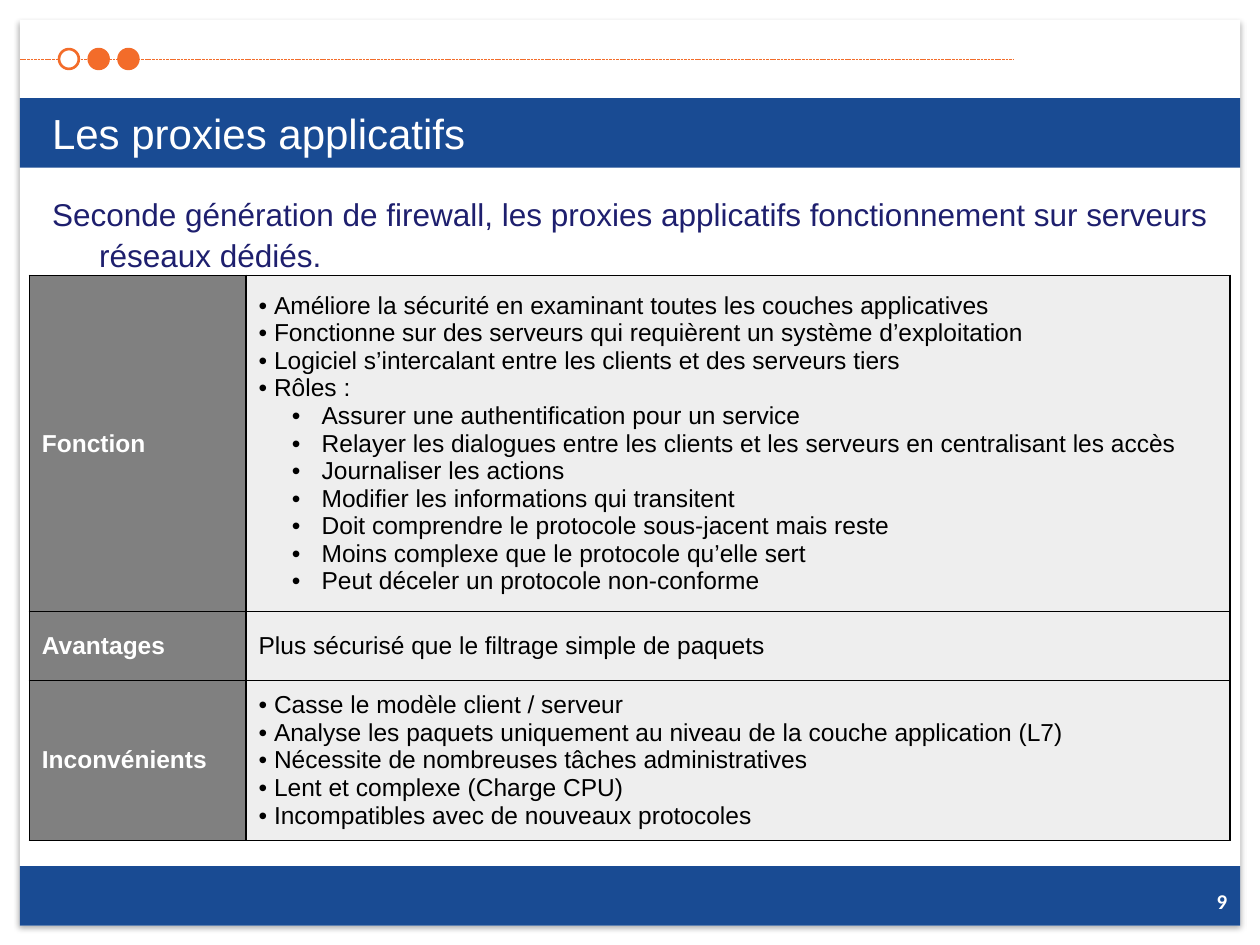
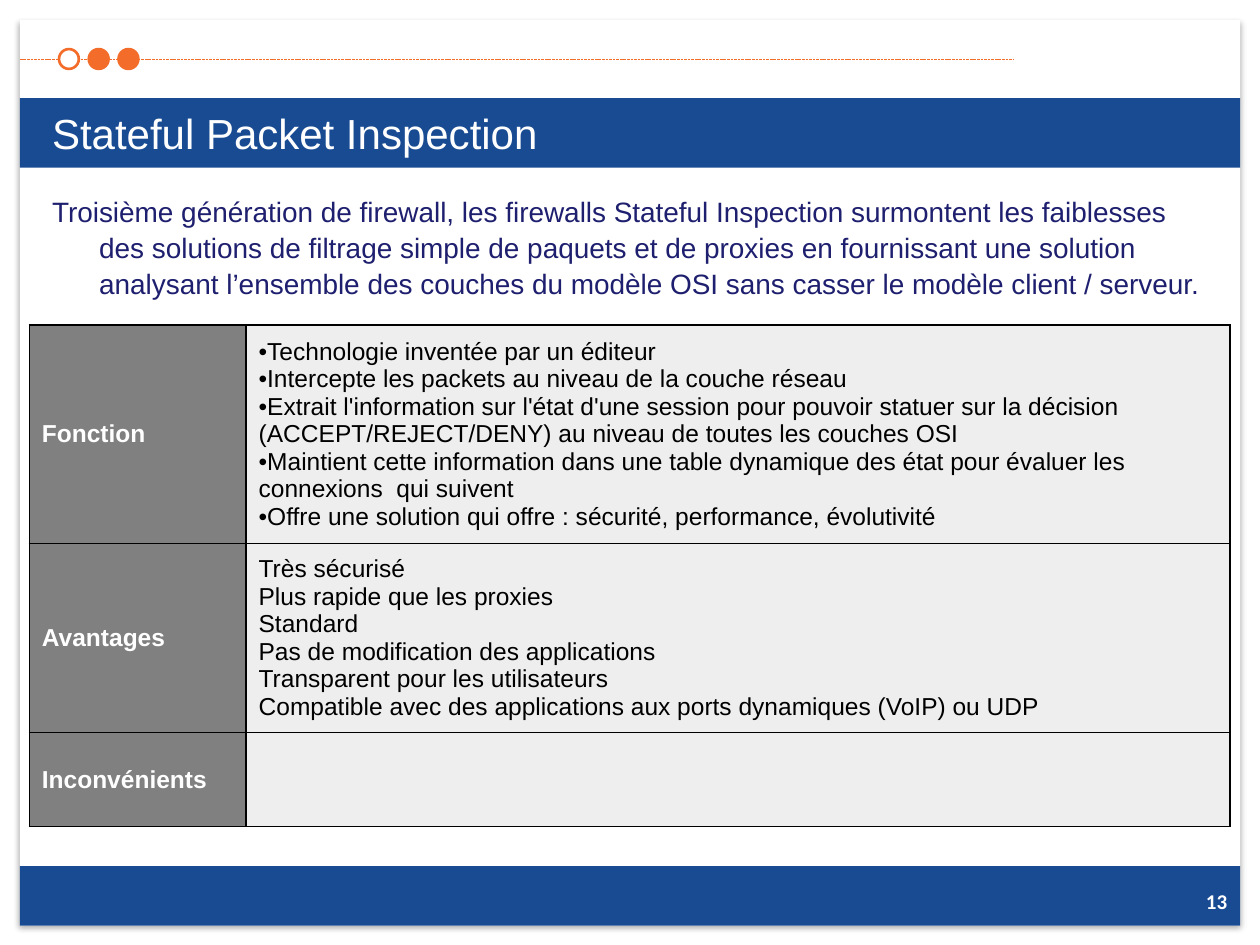
from lxml import etree
from pptx import Presentation
from pptx.dml.color import RGBColor
from pptx.enum.dml import MSO_LINE
from pptx.enum.shapes import MSO_CONNECTOR, MSO_SHAPE
from pptx.enum.text import MSO_ANCHOR, PP_ALIGN
from pptx.oxml import parse_xml
from pptx.oxml.ns import nsdecls, qn
from pptx.util import Cm, Pt

RECTANGLE, OVAL = MSO_SHAPE.RECTANGLE, MSO_SHAPE.OVAL
STRAIGHT, DASH = MSO_CONNECTOR.STRAIGHT, MSO_LINE.SQUARE_DOT
TOP, MIDDLE = MSO_ANCHOR.TOP, MSO_ANCHOR.MIDDLE
LEFT, RIGHT = PP_ALIGN.LEFT, PP_ALIGN.RIGHT
color = RGBColor.from_string

BLUE, NAVY, ORANGE = "194B93", "1E1F6E", "F36C2A"
WHITE, BLACK, GREY, PALE = "FFFFFF", "000000", "808080", "EEEEEE"

FRAME_LEFT, FRAME_WIDTH = 0.4, 24.6
TEXT_LEFT, TEXT_WIDTH = 0.8, 23.82
TITLE_TOP, TITLE_HEIGHT = 1.98, 1.4
DOT_SIZE, DOT_STEP, RULE_TOP = 0.4, 0.6, 1.19
COLUMN_WIDTHS = (4.37, 19.84)

# Paragraph styles in the table: left margin and first-line indent in cm
PLAIN = None
TIGHT = (0, 0)
BULLET = (0.31, -0.31)
SUB_BULLET = (1.27, -0.6)

SLIDES = [
    {
        "title": "Les proxies applicatifs",
        "number": "9",
        "intro": "Seconde génération de firewall, les proxies applicatifs "
                 "fonctionnement sur serveurs réseaux dédiés.",
        "intro_size": 18,
        "table_top": 5.55,
        "rows": [
            ("Fonction", 6.78, [
                (BULLET, "Améliore la sécurité en examinant toutes les couches applicatives"),
                (BULLET, "Fonctionne sur des serveurs qui requièrent un système d’exploitation"),
                (BULLET, "Logiciel s’intercalant entre les clients et des serveurs tiers"),
                (BULLET, "Rôles :"),
                (SUB_BULLET, "Assurer une authentification pour un service"),
                (SUB_BULLET, "Relayer les dialogues entre les clients et les serveurs "
                             "en centralisant les accès"),
                (SUB_BULLET, "Journaliser les actions"),
                (SUB_BULLET, "Modifier les informations qui transitent"),
                (SUB_BULLET, "Doit comprendre le protocole sous-jacent mais reste"),
                (SUB_BULLET, "Moins complexe que le protocole qu’elle sert"),
                (SUB_BULLET, "Peut déceler un protocole non-conforme"),
            ]),
            ("Avantages", 1.39, [
                (PLAIN, "Plus sécurisé que le filtrage simple de paquets"),
            ]),
            ("Inconvénients", 3.21, [
                (BULLET, "Casse le modèle client / serveur"),
                (BULLET, "Analyse les paquets uniquement au niveau de la couche application (L7)"),
                (BULLET, "Nécessite de nombreuses tâches administratives"),
                (BULLET, "Lent et complexe (Charge CPU)"),
                (BULLET, "Incompatibles avec de nouveaux protocoles"),
            ]),
        ],
    },
    {
        "title": "Stateful Packet Inspection",
        "number": "13",
        "intro": "Troisième génération de firewall, les firewalls Stateful Inspection "
                 "surmontent les faiblesses des solutions de filtrage simple de paquets "
                 "et de proxies en fournissant une solution analysant l’ensemble des "
                 "couches du modèle OSI sans casser le modèle client / serveur.",
        "intro_size": 16,
        "table_top": 6.55,
        "rows": [
            ("Fonction", 4.39, [
                (TIGHT, "Technologie inventée par un éditeur"),
                (TIGHT, "Intercepte les packets au niveau de la couche réseau"),
                (TIGHT, "Extrait l'information sur l'état d'une session pour pouvoir statuer "
                        "sur la décision (ACCEPT/REJECT/DENY) au niveau de toutes les couches OSI"),
                (TIGHT, "Maintient cette information dans une table dynamique des état pour "
                        "évaluer les connexions  qui suivent"),
                (TIGHT, "Offre une solution qui offre : sécurité, performance, évolutivité"),
            ]),
            ("Avantages", 3.81, [
                (PLAIN, "Très sécurisé"),
                (PLAIN, "Plus rapide que les proxies"),
                (PLAIN, "Standard"),
                (PLAIN, "Pas de modification des applications"),
                (PLAIN, "Transparent pour les utilisateurs"),
                (PLAIN, "Compatible avec des applications aux ports dynamiques (VoIP) ou UDP"),
            ]),
            ("Inconvénients", 1.89, []),
        ],
    },
]


def add_panel(slide, kind, left, top, width, height, fill, line=None):
    shape = slide.shapes.add_shape(kind, Cm(left), Cm(top), Cm(width), Cm(height))
    shape.shadow.inherit = False
    shape.fill.solid()
    shape.fill.fore_color.rgb = color(fill)
    if line:
        shape.line.color.rgb = color(line)
        shape.line.width = Pt(1.5)
    else:
        shape.line.fill.background()
    return shape


def add_text(slide, text, left, top, width, height, size, hue,
             font="Arial", bold=False, align=LEFT, anchor=MIDDLE):
    box = slide.shapes.add_textbox(Cm(left), Cm(top), Cm(width), Cm(height))
    box.text_frame.word_wrap = True
    box.text_frame.vertical_anchor = anchor
    box.text_frame.text = text
    paragraph = box.text_frame.paragraphs[0]
    paragraph.alignment = align
    paragraph.font.size, paragraph.font.name = Pt(size), font
    run_font = paragraph.runs[0].font
    run_font.size, run_font.name, run_font.bold = Pt(size), font, bold
    run_font.color.rgb = color(hue)
    return paragraph


presentation = Presentation()
presentation.slide_width, presentation.slide_height = Cm(25.4), Cm(19.05)

for content in SLIDES:
    slide = presentation.slides.add_slide(presentation.slide_layouts[6])

    # Page frame with a soft shadow
    frame = add_panel(slide, RECTANGLE, FRAME_LEFT, 0.4, FRAME_WIDTH, 18.26, WHITE)
    effects = frame._element.spPr.find(qn("a:effectLst"))
    effects.append(parse_xml(
        f'<a:outerShdw {nsdecls("a")} blurRad="44450" dist="27940" dir="5400000" '
        f'rotWithShape="0"><a:srgbClr val="{BLACK}"><a:alpha val="32000"/>'
        '</a:srgbClr></a:outerShdw>'))

    # Dashed rule, bands and dots
    rule = slide.shapes.add_connector(
        STRAIGHT, Cm(FRAME_LEFT), Cm(RULE_TOP), Cm(20.45), Cm(RULE_TOP))
    rule.line.color.rgb = color(ORANGE)
    rule.line.width = Pt(0.5)
    rule.line.dash_style = DASH
    etree.SubElement(rule._element.spPr, qn("a:effectLst"))
    for band_top, band_height in ((17.46, 1.2), (TITLE_TOP, TITLE_HEIGHT)):
        add_panel(slide, RECTANGLE, FRAME_LEFT, band_top, FRAME_WIDTH, band_height, BLUE)
    for index, fill in enumerate((WHITE, ORANGE, ORANGE)):
        add_panel(slide, OVAL, 1.19 + index * DOT_STEP, RULE_TOP - DOT_SIZE / 2,
                  DOT_SIZE, DOT_SIZE, fill, ORANGE)

    # Introduction with a hanging indent, title and page number
    intro = add_text(slide, content["intro"], TEXT_LEFT, 3.76, TEXT_WIDTH, 13.28,
                     content["intro_size"], NAVY, anchor=TOP)
    intro.line_spacing = 1.07
    properties = intro._p.get_or_add_pPr()
    properties.set("marL", str(Cm(0.95)))
    properties.set("indent", str(Cm(-0.95)))
    add_text(slide, content["title"], TEXT_LEFT, TITLE_TOP, TEXT_WIDTH, TITLE_HEIGHT, 24, WHITE)
    add_text(slide, content["number"], 22.81, 17.65, 2.18, 1.02, 12, WHITE,
             font="Calibri", bold=True, align=RIGHT)

    # Table: label column and detail column
    rows = content["rows"]
    table = slide.shapes.add_table(
        len(rows), 2, Cm(0.59), Cm(content["table_top"]), Cm(sum(COLUMN_WIDTHS)),
        Cm(sum(height for _, height, _ in rows))).table
    table.first_row = table.horz_banding = False
    for column, width in zip(table.columns, COLUMN_WIDTHS):
        column.width = Cm(width)
    for row, (label, height, details) in zip(table.rows, rows):
        row.height = Cm(height)
        cell_styles = (([(PLAIN, label)], GREY, WHITE, True), (details, PALE, BLACK, False))
        for cell, (lines, fill, hue, bold) in zip(row.cells, cell_styles):
            cell.vertical_anchor = MIDDLE
            for side in ("lnL", "lnR", "lnT", "lnB"):
                cell._tc.get_or_add_tcPr().append(parse_xml(
                    f'<a:{side} {nsdecls("a")} w="12700"><a:solidFill>'
                    f'<a:srgbClr val="{BLACK}"/></a:solidFill></a:{side}>'))
            cell.fill.solid()
            cell.fill.fore_color.rgb = color(fill)
            cell.text_frame.text = "\n".join(text for _, text in lines)
            for paragraph, (bullet, _) in zip(cell.text_frame.paragraphs, lines):
                run_font = paragraph.runs[0].font
                run_font.size, run_font.name, run_font.bold = Pt(14), "Arial", bold
                run_font.color.rgb = color(hue)
                if bullet is not PLAIN:
                    paragraph.level = int(bullet == SUB_BULLET)
                    properties = paragraph._p.get_or_add_pPr()
                    properties.set("marL", str(Cm(bullet[0])))
                    properties.set("indent", str(Cm(bullet[1])))
                    etree.SubElement(properties, qn("a:buFont")).set("typeface", "Arial")
                    etree.SubElement(properties, qn("a:buChar")).set("char", "•")

presentation.save("out.pptx")
